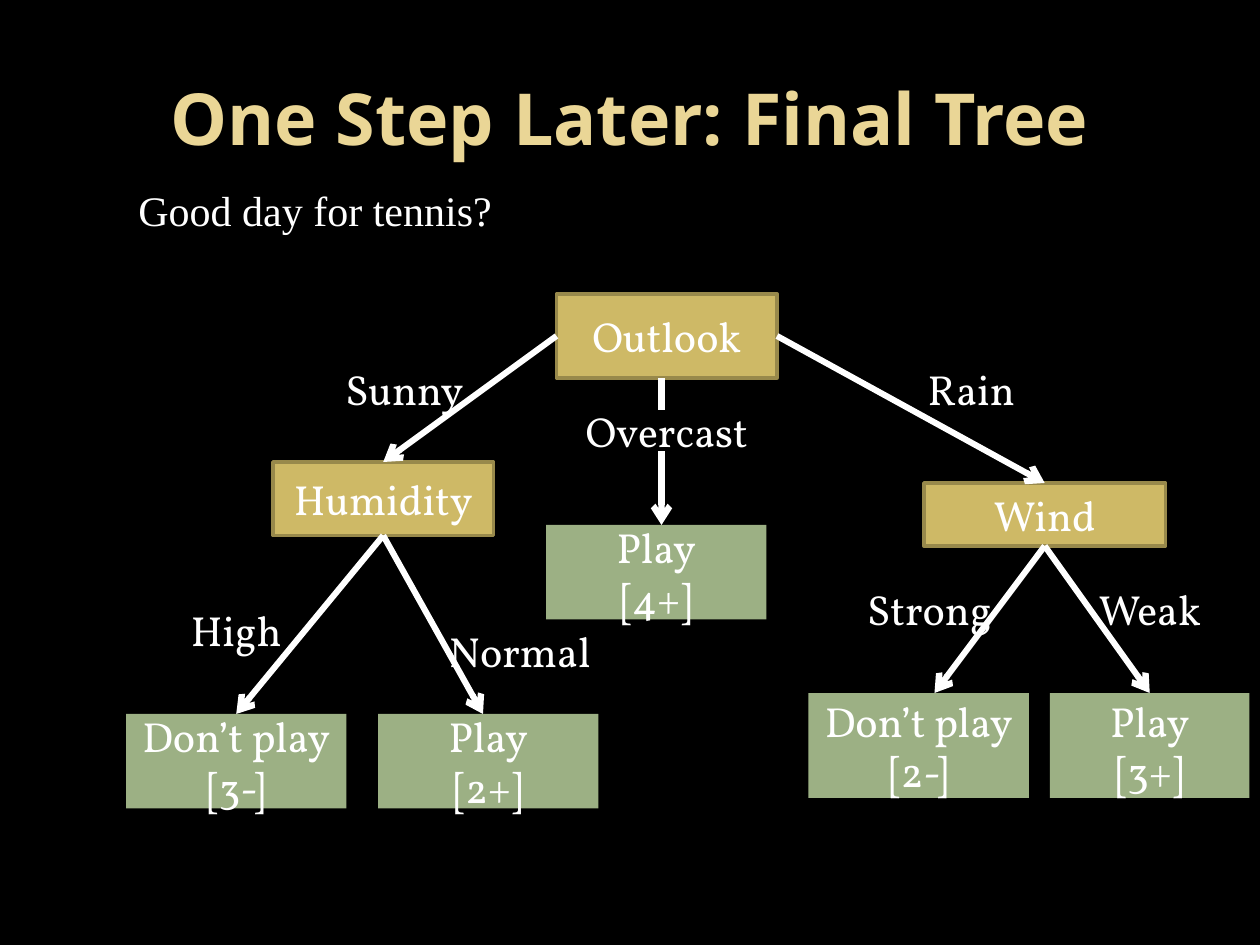
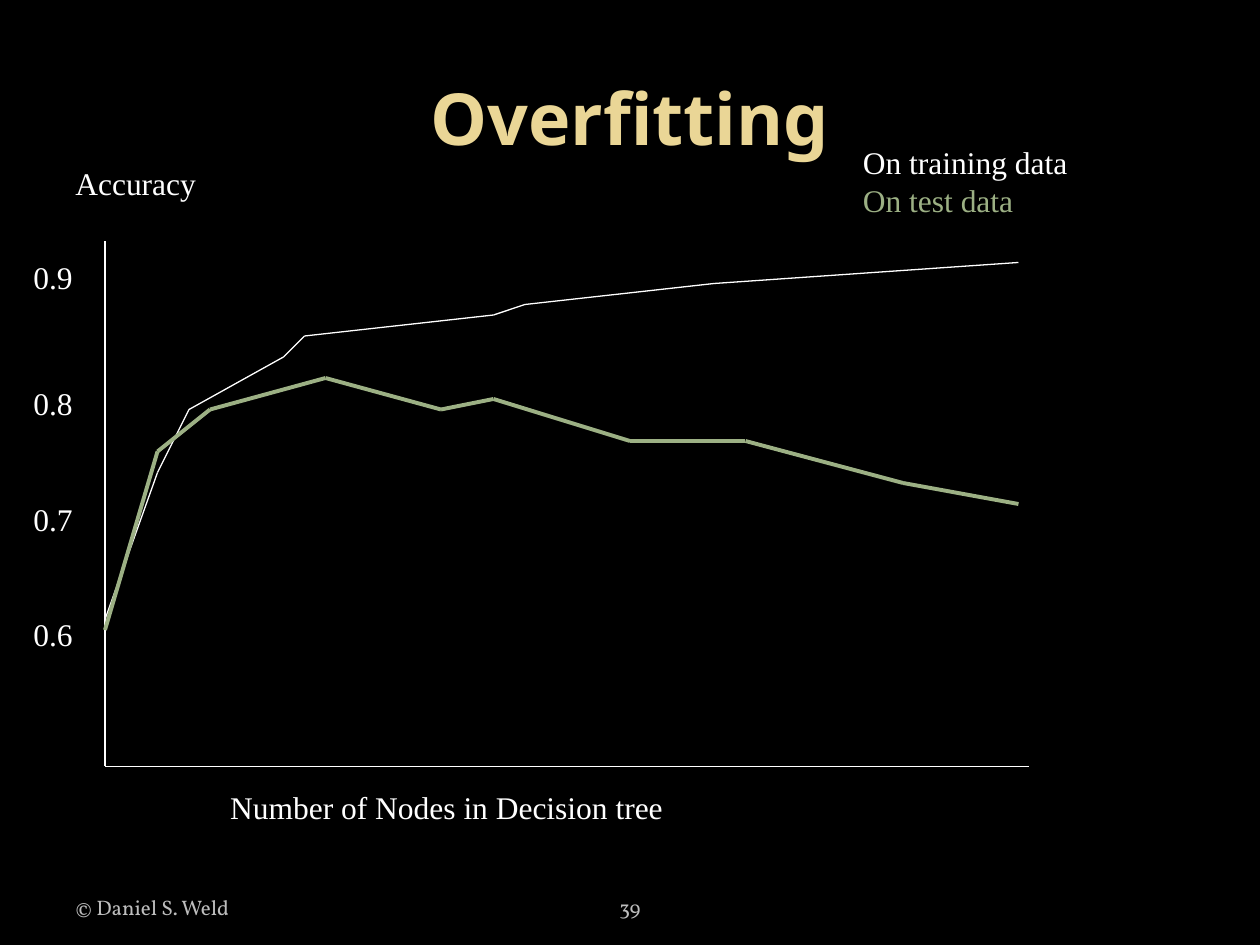
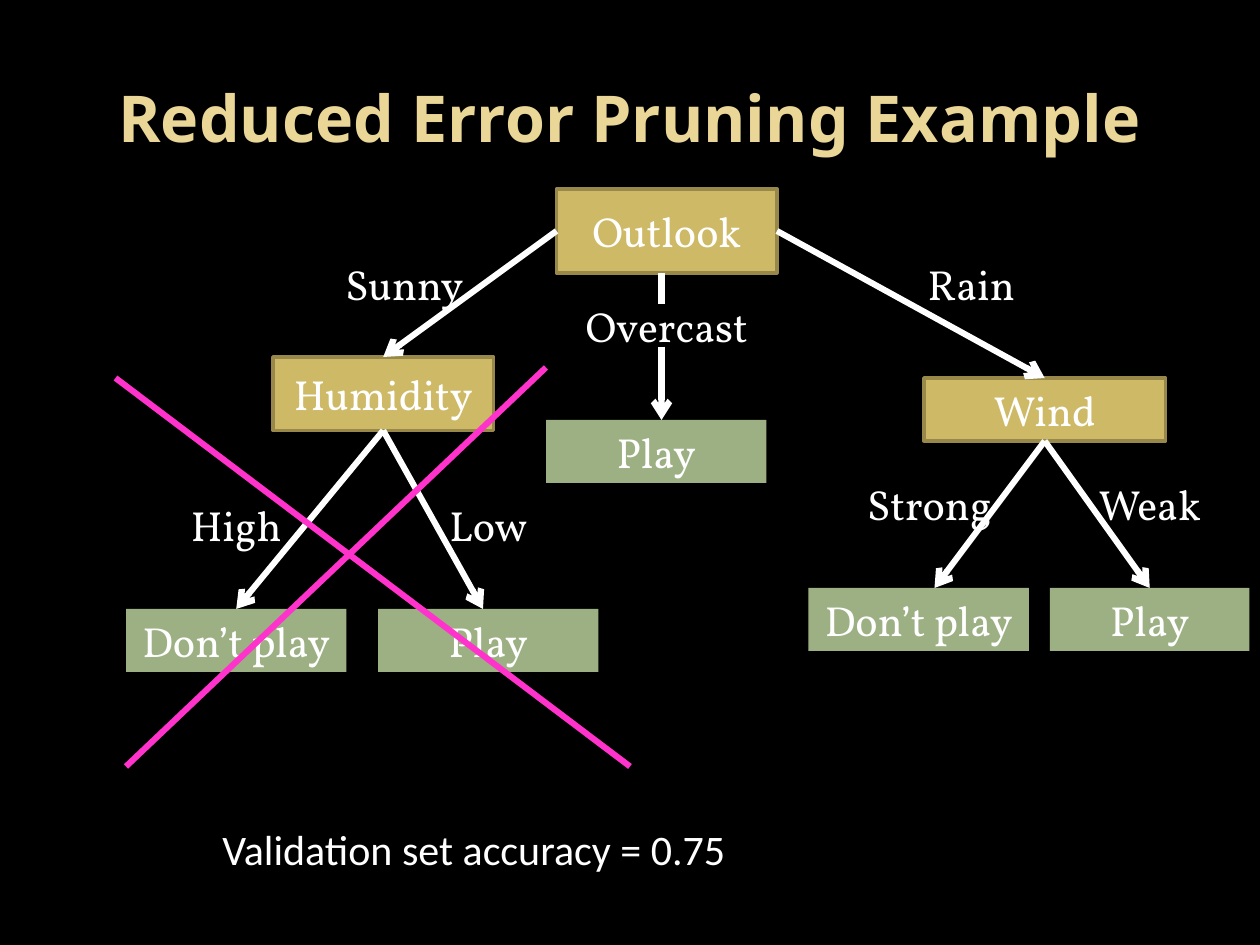
"""Builds three decision-tree slides: final tree, overfitting and pruning."""
from dataclasses import dataclass

from lxml.etree import SubElement
from pptx import Presentation
from pptx.dml.color import RGBColor
from pptx.enum.shapes import MSO_CONNECTOR, MSO_SHAPE
from pptx.enum.text import MSO_ANCHOR, MSO_AUTO_SIZE, PP_ALIGN
from pptx.oxml.ns import qn
from pptx.util import Pt


@dataclass(frozen=True)
class Theme:
    background: RGBColor = RGBColor.from_string("000000")
    title: RGBColor = RGBColor.from_string("EAD696")
    text: RGBColor = RGBColor.from_string("FFFFFF")
    footer: RGBColor = RGBColor.from_string("BDBDBD")
    node: RGBColor = RGBColor.from_string("CEB966")
    node_border: RGBColor = RGBColor.from_string("98894B")
    leaf: RGBColor = RGBColor.from_string("9CB084")
    cross: RGBColor = RGBColor.from_string("FF33CC")
    title_font: str = "Noto Sans"
    tree_font: str = "Vollkorn"
    chart_font: str = "Times New Roman"
    note_font: str = "Calibri"
    tree_size: float = 24
    chart_size: float = 18
    footer_size: float = 12
    tree_line: float = 3.5


theme = Theme()


def write(shape, text, font=theme.tree_font, size=theme.tree_size, color=theme.text,
          align=PP_ALIGN.CENTER, anchor=MSO_ANCHOR.MIDDLE):
    frame = shape.text_frame
    frame.text = text
    frame.word_wrap = True
    frame.auto_size = MSO_AUTO_SIZE.NONE
    frame.vertical_anchor = anchor
    for paragraph in frame.paragraphs:
        paragraph.alignment = align
        paragraph.font.name = font
        paragraph.font.size = Pt(size)
        paragraph.font.color.rgb = color
    return frame


def add_line(slide, start, end, color=theme.text, width=theme.tree_line, arrow=False):
    points = [Pt(value) for value in (*start, *end)]
    connector = slide.shapes.add_connector(MSO_CONNECTOR.STRAIGHT, *points)
    connector.line.color.rgb = color
    connector.line.width = Pt(width)
    properties = connector._element.spPr
    if arrow:
        SubElement(properties.find(qn("a:ln")), qn("a:tailEnd"), type="arrow")
    SubElement(properties, qn("a:effectLst"))
    return connector


presentation = Presentation()
presentation.slide_width, presentation.slide_height = Pt(720), Pt(540)
master_fill = presentation.slide_master.background.fill
master_fill.solid()
master_fill.fore_color.rgb = theme.background

slides = []
for title_text, title_size in [("One Step Later: Final Tree", 41), ("Overfitting", 41),
                               ("Reduced Error Pruning Example", 36.9)]:
    slide = presentation.slides.add_slide(presentation.slide_layouts[5])
    title = slide.shapes.title
    title.left, title.top, title.width, title.height = Pt(36), Pt(21.6), Pt(648), Pt(90)
    frame = write(title, title_text, theme.title_font, title_size, theme.title)
    frame.paragraphs[0].font.bold = True
    slides.append(slide)
final_tree, overfitting, pruning = slides

nodes = [
    ("Outlook", 318, 168, 126, 48),
    ("Humidity", 156, 264, 126, 42),
    ("Wind", 528, 276, 138, 36),
]
leaves = [
    ("Don’t play", "[3-]", 72, 408, 126, 54),
    ("Play", "[2+]", 216, 408, 126, 54),
    ("Play", "[4+]", 312, 300, 126, 54),
    ("Don’t play", "[2-]", 462, 396, 126, 60),
    ("Play", "[3+]", 600, 396, 114, 60),
]
joined_arrows = [
    ("Outlook", 1, "Humidity"),
    ("Outlook", 3, "Wind"),
    ("Humidity", 2, "[3-]"),
    ("Wind", 2, "[3+]"),
]
half_joined_arrows = [("Humidity", 276, 408), ("Wind", 534, 396)]
shared_labels = [
    ("Sunny", 186, 198, 90),
    ("Rain", 492, 198, 126),
    ("Overcast", 318, 222, 126),
    ("High", 72, 336, 126),
    ("Strong", 468, 324, 126),
    ("Weak", 594, 324, 126),
]

for slide, rise, show_counts, humidity_label in [
    (final_tree, 0, True, ("Normal", 234, 348, 126)),
    (pruning, 60, False, ("Low", 216, 336, 126)),
]:
    boxes = {}
    for name, left, top, width, height in nodes:
        node = slide.shapes.add_shape(MSO_SHAPE.RECTANGLE, Pt(left), Pt(top - rise), Pt(width), Pt(height))
        node.fill.solid()
        node.fill.fore_color.rgb = theme.node
        node.line.color.rgb = theme.node_border
        node.line.width = Pt(2)
        node.shadow.inherit = False
        write(node, name)
        boxes[name] = node

    for answer, count, left, top, width, height in leaves:
        leaf = slide.shapes.add_shape(MSO_SHAPE.RECTANGLE, Pt(left), Pt(top - rise), Pt(width),
                                      Pt(height if show_counts else 36))
        leaf.fill.solid()
        leaf.fill.fore_color.rgb = theme.leaf
        leaf.line.fill.background()
        leaf.shadow.inherit = False
        write(leaf, f"{answer}\n{count}" if show_counts else answer)
        boxes[count] = leaf

    for parent, side, child in joined_arrows:
        arrow = add_line(slide, (0, 0), (0, 0), arrow=True)
        arrow.begin_connect(boxes[parent], side)
        arrow.end_connect(boxes[child], 0)
    for parent, end_left, end_top in half_joined_arrows:
        arrow = add_line(slide, (0, 0), (end_left, end_top - rise), arrow=True)
        arrow.begin_connect(boxes[parent], 2)
    add_line(slide, (378, 216 - rise), (378, 234 - rise))
    add_line(slide, (378, 258 - rise), (378, 300 - rise), arrow=True)

    for text, left, top, width in [*shared_labels, humidity_label]:
        write(slide.shapes.add_textbox(Pt(left), Pt(top - rise), Pt(width), Pt(48)), text)

question = final_tree.shapes.add_textbox(Pt(0), Pt(102), Pt(296), Pt(37))
frame = write(question, "Good day for tennis?", theme.chart_font,
              align=PP_ALIGN.LEFT, anchor=MSO_ANCHOR.TOP)
frame.paragraphs[0]._p.get_or_add_pPr().set("marL", str(Pt(72)))

axes = [(60, 138), (60, 438), (588, 438)]
training_curve = [(60, 354), (90, 270), (108, 234), (162, 204), (174, 192),
                  (282, 180), (300, 174), (408, 162), (582, 150)]
test_curve = [(60, 360), (90, 258), (120, 234), (186, 216), (252, 234),
              (282, 228), (360, 252), (426, 252), (516, 276), (582, 288)]
for points, color, width in [(axes, theme.text, 0.75), (training_curve, theme.text, 0.75),
                             (test_curve, theme.leaf, 2.25)]:
    for start, end in zip(points, points[1:]):
        add_line(overfitting, start, end, color, width)

for text, left, top, width, height in [
    ("Accuracy", 36, 90, 107, 36),
    ("0.9", 12, 144, 45, 36),
    ("0.8", 12, 216, 45, 36),
    ("0.7", 12, 282, 45, 36),
    ("0.6", 12, 348, 45, 36),
    ("Number of Nodes in Decision tree", 124.5, 447, 344, 36),
    ("On training data\nOn test data", 486, 78, 170, 65),
]:
    label = overfitting.shapes.add_textbox(Pt(left), Pt(top), Pt(width), Pt(height))
    frame = write(label, text, theme.chart_font, theme.chart_size,
                  align=PP_ALIGN.LEFT, anchor=MSO_ANCHOR.TOP)
frame.paragraphs[1].font.color.rgb = theme.leaf

for text, left, width, align in [("© Daniel S. Weld", 36, 168, PP_ALIGN.LEFT),
                                 ("39", 246, 228, PP_ALIGN.CENTER)]:
    footer = overfitting.shapes.add_textbox(Pt(left), Pt(500.4), Pt(width), Pt(28.8))
    write(footer, text, size=theme.footer_size, color=theme.footer,
          align=align, anchor=MSO_ANCHOR.BOTTOM)

add_line(pruning, (66, 216), (360, 438), theme.cross)
add_line(pruning, (72, 438), (312, 210), theme.cross)
accuracy_note = pruning.shapes.add_textbox(Pt(120), Pt(467), Pt(312), Pt(37))
write(accuracy_note, "Validation set accuracy = 0.75", theme.note_font,
      align=PP_ALIGN.LEFT, anchor=MSO_ANCHOR.TOP)

presentation.save("out.pptx")
